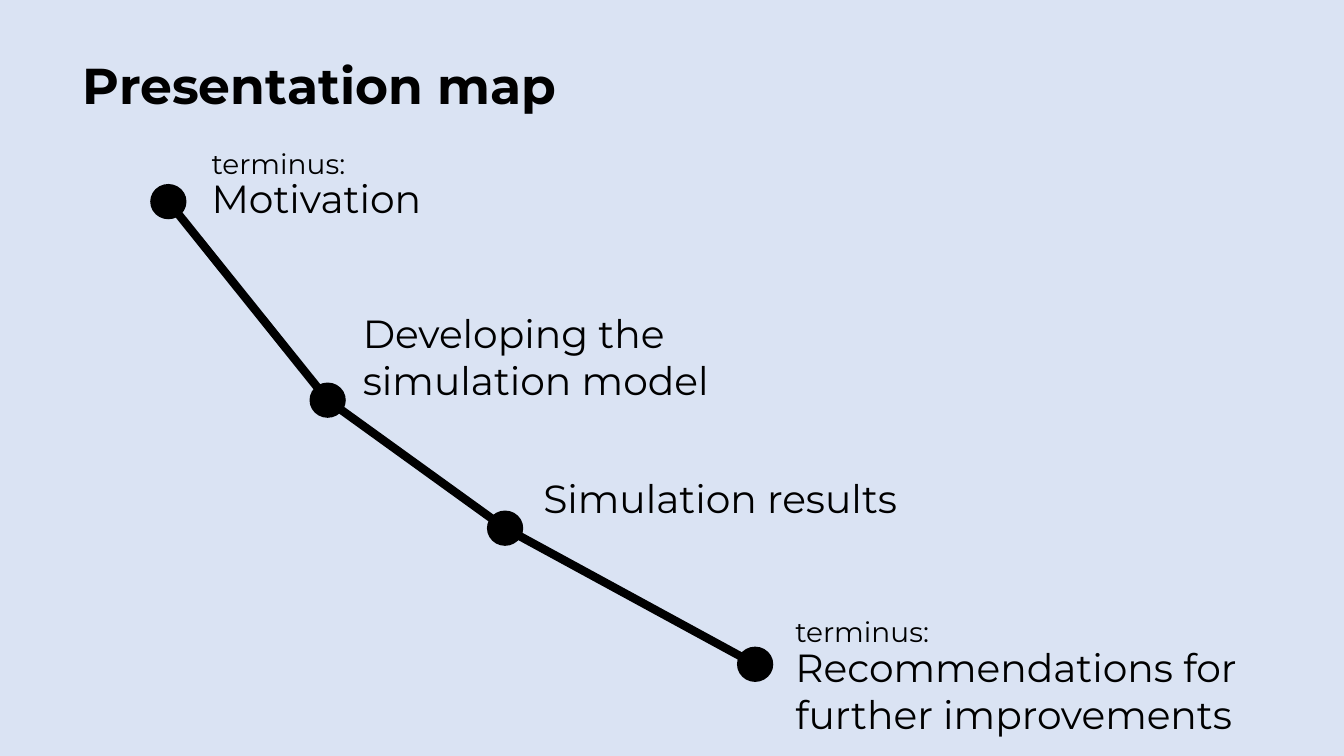
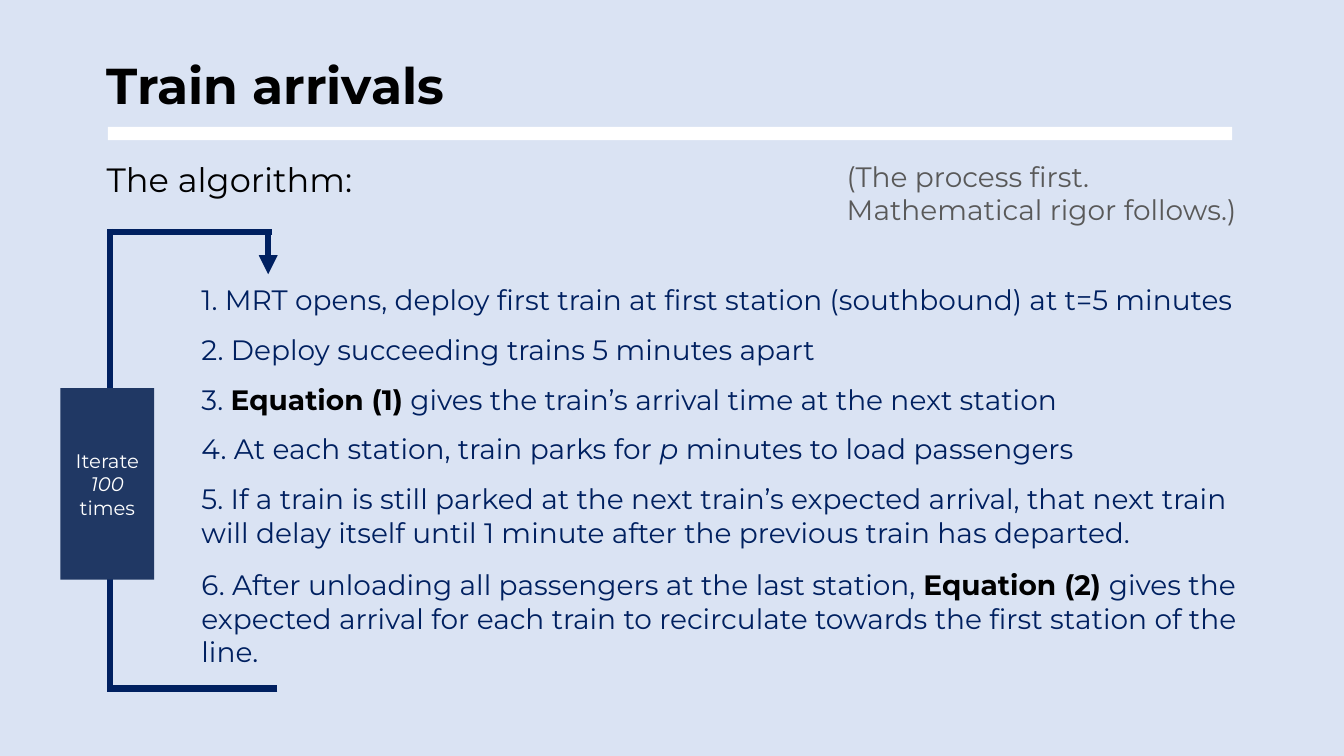
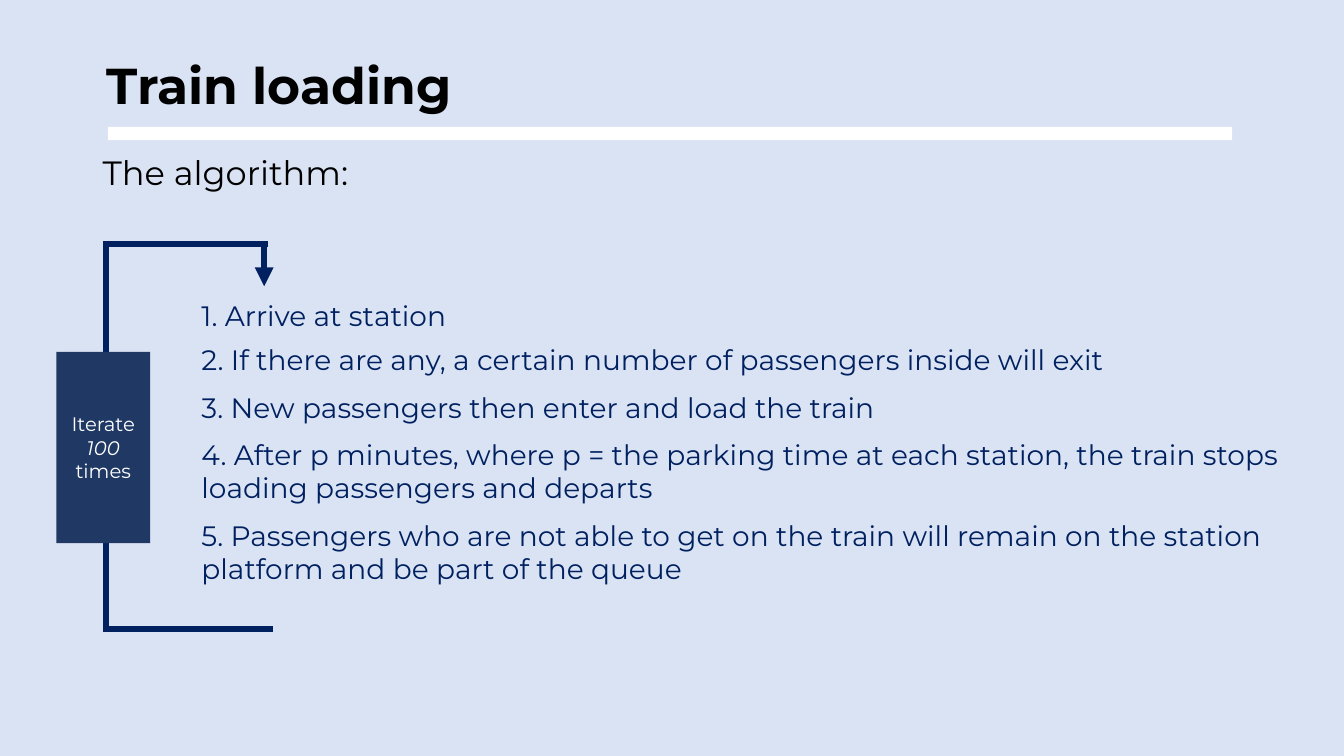
from collections import namedtuple
from itertools import pairwise

from pptx import Presentation
from pptx.dml.color import RGBColor
from pptx.enum.shapes import MSO_CONNECTOR as Link, MSO_SHAPE as Preset
from pptx.enum.text import MSO_ANCHOR as Anchor, MSO_AUTO_SIZE as AutoSize, PP_ALIGN as Align
from pptx.oxml.ns import qn
from pptx.util import Inches, Pt

FONT = "Montserrat"
SKY = RGBColor(0xDA, 0xE3, 0xF3)
BLACK = RGBColor(0x00, 0x00, 0x00)
WHITE = RGBColor(0xFF, 0xFF, 0xFF)
NAVY = RGBColor(0x00, 0x20, 0x60)
BADGE = RGBColor(0x20, 0x38, 0x64)
GREY = RGBColor(0x59, 0x59, 0x59)

Box = namedtuple("Box", "left top width height")
Words = namedtuple("Words", "text bold italic color", defaults=(False, False, None))
Stop = namedtuple("Stop", "x y label_left label_top label_width label terminus")
Step = namedtuple("Step", "top width content")

DOT_WIDTH, DOT_HEIGHT = 0.36, 0.35


def inches(box):
    return [Inches(length) for length in box]


def write(para, content, size, color, bold=False):
    for words in [Words(content, bold)] if isinstance(content, str) else content:
        span = para.add_run()
        span.text = words.text
        font = span.font
        font.name, font.size = FONT, Pt(size)
        font.bold, font.italic = words.bold, words.italic
        font.color.rgb = words.color or color


def add_text(page, box, content, size, color=BLACK):
    frame = page.shapes.add_textbox(*inches(box)).text_frame
    frame.word_wrap = True
    frame.auto_size = AutoSize.SHAPE_TO_FIT_TEXT
    write(frame.paragraphs[0], content, size, color)


def add_block(page, preset, box, color):
    block = page.shapes.add_shape(preset, *inches(box))
    block.shadow.inherit = False
    block.fill.solid()
    block.fill.fore_color.rgb = color
    block.line.fill.background()
    return block


def add_line(page, start, end, color, weight, arrow=False):
    line = page.shapes.add_connector(Link.STRAIGHT, *inches(start + end))
    line.line.color.rgb = color
    line.line.width = Pt(weight)
    properties = line.element.spPr
    if arrow:
        outline = properties.find(qn("a:ln"))
        head = outline.makeelement(qn("a:tailEnd"), {"type": "triangle"})
        outline.append(head)
    properties.append(properties.makeelement(qn("a:effectLst"), {}))


def add_page(deck, title, left):
    page = deck.slides.add_slide(deck.slide_layouts[5])
    heading = page.shapes.title
    heading.left, heading.top, heading.width, heading.height = inches(Box(left, 0.49, 9.36, 0.71))
    frame = heading.text_frame
    frame.vertical_anchor = Anchor.TOP
    frame.word_wrap = True
    frame.auto_size = AutoSize.NONE
    para = frame.paragraphs[0]
    para.alignment = Align.LEFT
    write(para, title, 36, BLACK, bold=True)
    return page


def add_route(page, stops):
    for here, following in pairwise(stops):
        add_line(page, (here.x, here.y), (following.x, following.y), BLACK, 6)
    for stop in stops:
        dot = Box(stop.x - DOT_WIDTH / 2, stop.y - DOT_HEIGHT / 2, DOT_WIDTH, DOT_HEIGHT)
        add_block(page, Preset.OVAL, dot, BLACK)
        add_text(page, Box(stop.label_left, stop.label_top, stop.label_width, 0.57), stop.label, 28)
        if stop.terminus:
            add_text(page, Box(stop.label_left, stop.label_top - 0.28, 2.69, 0.44), "terminus:", 20)


def add_loop(page, box, badge_offset):
    left, top = box.left, box.top
    right, bottom = left + box.width, top + box.height
    arrow_x = right - 0.09
    add_line(page, (arrow_x, top), (arrow_x, top + 0.42), NAVY, 4.5, arrow=True)
    add_line(page, (arrow_x + 0.04, top), (left + 0.02, top), NAVY, 4.5)
    add_line(page, (left, top - 0.03), (left, bottom), NAVY, 4.5)
    add_line(page, (right, bottom), (left - 0.03, bottom), NAVY, 4.5)
    badge = add_block(page, Preset.RECTANGLE, Box(left - 0.49, top + badge_offset, 0.93, 1.9), BADGE)
    frame = badge.text_frame
    frame.word_wrap = True
    frame.vertical_anchor = Anchor.MIDDLE
    for index, words in enumerate([Words("Iterate"), Words("100", italic=True), Words("times")]):
        para = frame.add_paragraph() if index else frame.paragraphs[0]
        para.alignment = Align.CENTER
        write(para, [words], 14, WHITE)


def add_algorithm(deck, title, intro_left, intro_top, loop, badge_offset, steps):
    page = add_page(deck, title, 0.96)
    add_block(page, Preset.RECTANGLE, Box(1.07, 1.26, 11.15, 0.13), WHITE)
    add_text(page, Box(intro_left, intro_top, 2.99, 0.5), "The algorithm:", 24)
    add_loop(page, loop, badge_offset)
    for step in steps:
        add_text(page, Box(1.9, step.top, step.width, 0.44), step.content, 20, NAVY)
    return page


STOPS = [
    Stop(1.67, 2, 2, 1.68, 2.69, "Motivation", True),
    Stop(3.25, 3.97, 3.5, 3.02, 4.75, "Developing the simulation model", False),
    Stop(5.01, 5.24, 5.29, 4.66, 4.75, "Simulation results", False),
    Stop(7.49, 6.59, 7.79, 6.33, 5.15, "Recommendations for further improvements", True),
]

ARRIVAL_STEPS = [
    Step(2.75, 10.94, "1. MRT opens, deploy first train at first station (southbound) at t=5 minutes"),
    Step(3.25, 7.13, "2. Deploy succeeding trains 5 minutes apart"),
    Step(3.75, 9.02, [
        Words("3. "),
        Words("Equation (1)", bold=True, color=BLACK),
        Words(" gives the train’s arrival time at the next station"),
    ]),
    Step(4.23, 9.02, [
        Words("4. At each station, train parks for "),
        Words("p", italic=True),
        Words(" minutes to load passengers"),
    ]),
    Step(4.73, 10.37, "5. If a train is still parked at the next train’s expected arrival, that next "
                      "train will delay itself until 1 minute after the previous train has departed."),
    Step(5.58, 10.94, [
        Words("6. After unloading all passengers at the last station, "),
        Words("Equation (2) ", bold=True, color=BLACK),
        Words("gives the expected arrival for each train to recirculate "
              "towards the first station of the line."),
    ]),
]

LOADING_STEPS = [
    Step(2.91, 10.94, "1. Arrive at station"),
    Step(3.35, 10.94, "2. If there are any, a certain number of passengers inside will exit"),
    Step(3.83, 10.94, "3. New passengers then enter and load the train"),
    Step(4.29, 10.94, "4. After p minutes, where p = the parking time at each station, "
                      "the train stops loading passengers and departs"),
    Step(5.09, 10.94, "5. Passengers who are not able to get on the train will remain "
                      "on the station platform and be part of the queue"),
]

deck = Presentation()
deck.slide_width, deck.slide_height = Inches(13.33), Inches(7.5)
backdrop = deck.slide_master.background.fill
backdrop.solid()
backdrop.fore_color.rgb = SKY

add_route(add_page(deck, "Presentation map", 0.72), STOPS)
arrivals = add_algorithm(deck, "Train arrivals", 0.96, 1.53,
                         Box(1.09, 2.3, 1.66, 4.53), 1.55, ARRIVAL_STEPS)
add_text(arrivals, Box(8.3, 1.53, 4.07, 0.77),
         "(The process first. Mathematical rigor follows.)", 20, GREY)
add_algorithm(deck, "Train loading", 0.92, 1.46,
              Box(1.05, 2.42, 1.66, 3.82), 1.07, LOADING_STEPS)

deck.save("out.pptx")
